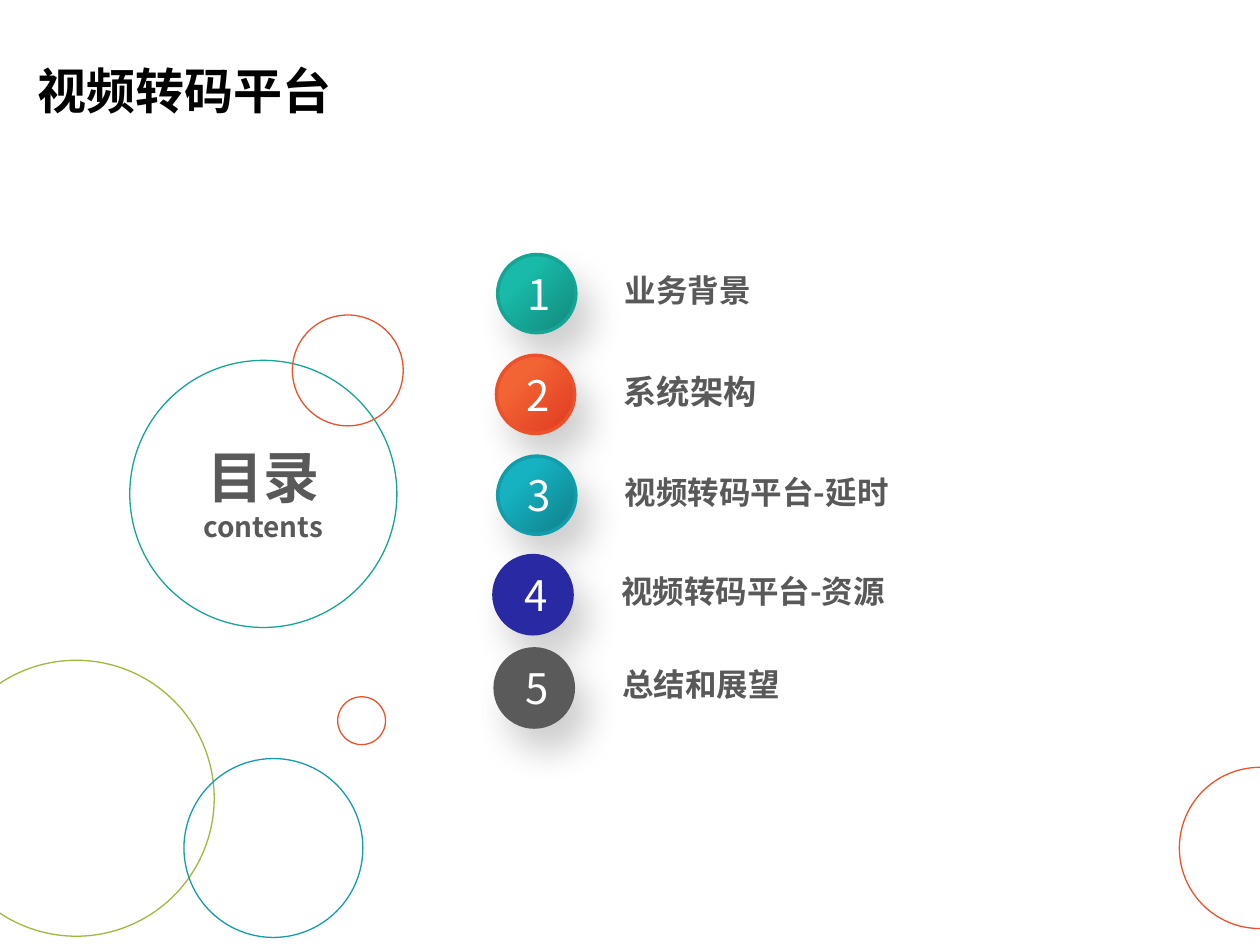
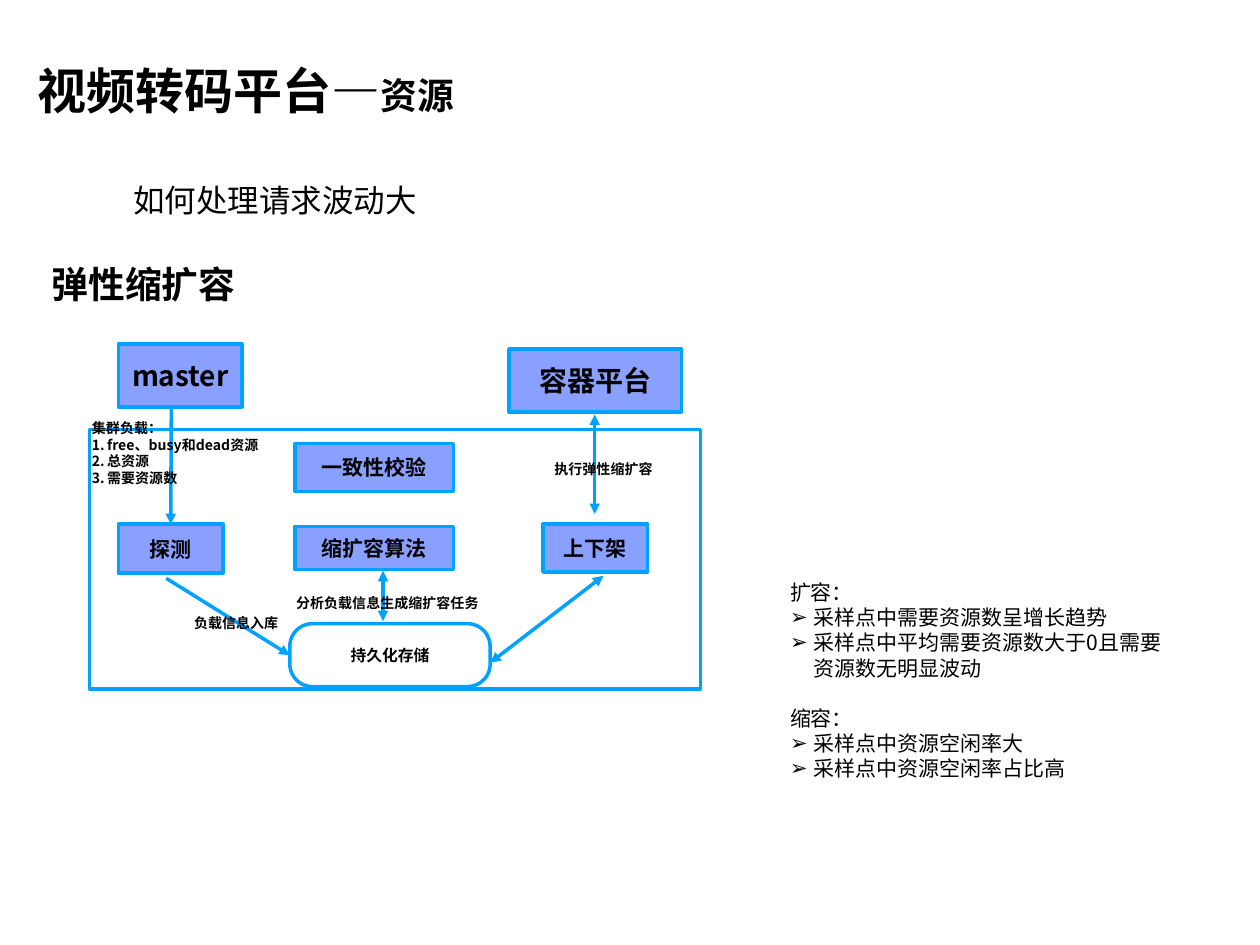
from lxml.etree import SubElement
from pptx import Presentation
from pptx.dml.color import RGBColor
from pptx.enum.shapes import MSO_CONNECTOR as LINK, MSO_SHAPE as SHAPE
from pptx.enum.text import MSO_ANCHOR as ANCHOR, MSO_AUTO_SIZE as FIT, PP_ALIGN as ALIGN
from pptx.oxml.ns import qn
from pptx.util import Inches, Pt

FONT = "Noto Sans CJK SC"
BLACK, WHITE, GREY = "000000", "FFFFFF", "595959"
GREEN, ORANGE, TEAL, OLIVE = "16A595", "EB522C", "139CAA", "9EB93B"
BOX_BLUE, LINE_BLUE = "8AA0FF", "00A2FF"
TOP, LEFT = 0, 1
TITLE_BOX = (0.25, 0.25, 8.08, 0.92)


def rgb(code):
    """Turn a hex string into a colour."""
    return RGBColor.from_string(code)


def inches(values):
    """Turn numbers into lengths."""
    return [Inches(value) for value in values]


def write(frame, text, size=12, color=BLACK, bold=False, align=ALIGN.LEFT,
          bullet=None, margin=0, hanging=0, before=0, spacing=None, same_line=False):
    """Add text to a frame as a new paragraph, or on the current line."""
    paragraph = frame.paragraphs[-1]
    if paragraph.runs and not same_line:
        paragraph = frame.add_paragraph()
    if not same_line:
        paragraph.alignment = align
        paragraph.space_before = Pt(before)
        paragraph.line_spacing = spacing
        properties = paragraph._p.get_or_add_pPr()
        properties.set("marL", str(Inches(margin)))
        properties.set("indent", str(Inches(-hanging)))
        if bullet == "1.":
            SubElement(properties, qn("a:buAutoNum"), type="arabicPeriod")
        elif bullet:
            SubElement(properties, qn("a:buChar"), char=bullet)
        else:
            SubElement(properties, qn("a:buNone"))
    run = paragraph.add_run()
    run.text = text
    run.font.name, run.font.size, run.font.bold = FONT, Pt(size), bold
    run.font.color.rgb = rgb(color)
    SubElement(run._r.get_or_add_rPr(), qn("a:ea"), typeface=FONT)


def set_frame(frame, inset=0.05, anchor=ANCHOR.TOP, wrap=True):
    """Set the insets, anchor and wrapping of a text frame."""
    frame.margin_left = frame.margin_right = Inches(inset)
    frame.margin_top = frame.margin_bottom = Inches(inset)
    frame.vertical_anchor, frame.word_wrap = anchor, wrap
    frame.auto_size = FIT.NONE
    return frame


def add_text(slide, box, inset=0.05, anchor=ANCHOR.TOP, wrap=True):
    """Add a text box and return its frame."""
    return set_frame(slide.shapes.add_textbox(*inches(box)).text_frame, inset, anchor, wrap)


def add_title(slide, text, suffix=""):
    """Fill the title placeholder, with an optional smaller suffix."""
    title = slide.shapes.title
    title.left, title.top, title.width, title.height = inches(TITLE_BOX)
    frame = set_frame(title.text_frame, anchor=ANCHOR.MIDDLE)
    write(frame, text, size=28, bold=True)
    if suffix:
        write(frame, suffix, size=21, bold=True, same_line=True)


def add_outline(slide, kind, box, line, weight, fill=None):
    """Add a preset shape with a line and an optional plain fill."""
    shape = slide.shapes.add_shape(kind, *inches(box))
    shape.shadow.inherit = False
    shape.line.color.rgb, shape.line.width = rgb(line), Pt(weight)
    if fill:
        shape.fill.solid()
        shape.fill.fore_color.rgb = rgb(fill)
    else:
        shape.fill.background()
    return shape


def add_ring(slide, left, top, diameter, color):
    """Add a thin decorative circle."""
    add_outline(slide, SHAPE.OVAL, (left, top, diameter, diameter), color, 0.75)


def drop_shadow(shape):
    """Give a shape a soft shadow to the lower right."""
    effects = shape._element.spPr.find(qn("a:effectLst"))
    shadow = SubElement(effects, qn("a:outerShdw"), blurRad=str(Pt(20)), dist=str(Pt(15)),
                        dir=str(59 * 60000), algn="ctr", rotWithShape="0")
    color = SubElement(shadow, qn("a:srgbClr"), val="0D0D0D")
    SubElement(color, qn("a:alpha"), val="20000")


def add_agenda_item(slide, left, top, number, label, line, shades, size=18):
    """Add a numbered badge and its label from the badge's corner."""
    badge = add_outline(slide, SHAPE.OVAL, (left, top, 0.62, 0.62), line, 2, line)
    if shades:
        badge.fill.gradient()
        badge.fill.gradient_angle = 315
        for stop, position, shade in zip(badge.fill.gradient_stops, (0.3, 0.9), shades):
            stop.position, stop.color.rgb = position, rgb(shade)
    drop_shadow(badge)
    write(add_text(slide, (left + 0.19, top + 0.06, 0.24, 0.5)), str(number),
          size=24, color=WHITE, align=ALIGN.CENTER)
    write(add_text(slide, (left + 1.01, top + 0.13, 3.39, 0.32), inset=0), label,
          size=size, color=GREY, bold=True)


def add_contents_mark(slide, left, top):
    """Add the contents heading within its two rings."""
    add_ring(slide, left, top, 2.12, GREEN)
    add_ring(slide, left + 1.29, top - 0.36, 0.88, ORANGE)
    heading = add_text(slide, (left + 0.42, top + 0.6, 1.28, 0.91))
    for text, size in (("目录", 32), ("contents", 16)):
        write(heading, text, size=size, color=GREY, bold=True, align=ALIGN.CENTER)


def build_contents(deck):
    """Build the contents slide."""
    slide = deck.slides.add_slide(deck.slide_layouts[5])
    add_title(slide, "视频转码平台")
    add_contents_mark(slide, 1.03, 2.86)
    for ring in ((-0.49, 5.24, 2.19, OLIVE), (1.46, 6.02, 1.42, TEAL),
                 (2.68, 5.53, 0.38, ORANGE), (9.36, 6.09, 1.28, ORANGE)):
        add_ring(slide, *ring)
    agenda = (
        (3.95, 2.02, "业务背景", GREEN, ("19BAA9", "138F81"), 18),
        (3.94, 2.82, "系统架构", ORANGE, ("F26434", "E33F24"), 19),
        (3.95, 3.62, "视频转码平台-延时", TEAL, ("16B2C1", "108692"), 18),
        (3.92, 4.41, "视频转码平台-资源", "2929A3", None, 18),
        (3.93, 5.15, "总结和展望", "5A5A5A", None, 18),
    )
    for number, (left, top, *details) in enumerate(agenda, 1):
        add_agenda_item(slide, left, top, number, *details)


def add_node(slide, box, text, size=12, kind=SHAPE.RECTANGLE, fill=BOX_BLUE):
    """Add a labelled box of the scaling diagram."""
    node = add_outline(slide, kind, box, LINE_BLUE, 2, fill)
    write(set_frame(node.text_frame, 0.06, ANCHOR.MIDDLE), text,
          size=size, bold=True, align=ALIGN.CENTER)
    return node


def add_arrow(slide, start, end, both=False):
    """Add an arrow between two points, with one head or two."""
    arrow = slide.shapes.add_connector(LINK.STRAIGHT, *inches(start + end))
    arrow.line.color.rgb, arrow.line.width = rgb(LINE_BLUE), Pt(2)
    line = arrow.line._get_or_add_ln()
    for tag in ("a:headEnd", "a:tailEnd") if both else ("a:tailEnd",):
        SubElement(line, qn(tag), type="triangle")
    SubElement(arrow._element.spPr, qn("a:effectLst"))
    return arrow


def build_diagram(slide, left, top):
    """Draw the elastic scaling diagram from its upper left corner."""
    def place(x, y, *size):
        return (left + x, top + y, *size)

    def note(x, y, width, text):
        frame = add_text(slide, place(x, y, width, 0.25), 0.06, ANCHOR.MIDDLE, wrap=False)
        write(frame, text, size=8, bold=True)

    add_node(slide, place(0.23, 0, 0.98, 0.5), "master", 16)
    add_outline(slide, SHAPE.RECTANGLE, place(0, 0.68, 4.85, 2.06), LINE_BLUE, 2, WHITE)
    probe = add_node(slide, place(0.23, 1.43, 0.83, 0.39), "探测")
    add_arrow(slide, place(0.65, 0.5), place(0.65, 1.43)).end_connect(probe, TOP)
    load = add_text(slide, place(-0.04, 0.54, 1.45, 0.65), 0.06, ANCHOR.MIDDLE)
    write(load, "集群负载：", size=8, bold=True)
    for text in ("free、busy和dead资源", "总资源", "需要资源数"):
        write(load, text, size=8, bold=True, bullet="1.", margin=0.12, hanging=0.12)

    add_node(slide, place(1.63, 0.79, 1.26, 0.38), "一致性校验")
    add_node(slide, place(1.63, 1.45, 1.26, 0.34), "缩扩容算法")
    add_node(slide, place(3.6, 1.43, 0.83, 0.38), "上下架")
    add_node(slide, place(3.33, 0.04, 1.37, 0.5), "容器平台", 16)
    storage = add_node(slide, place(1.59, 2.22, 1.59, 0.5), "持久化存储", 9,
                       SHAPE.ROUNDED_RECTANGLE, WHITE)
    storage.adjustments[0] = 0.36

    add_arrow(slide, place(0.61, 1.86), place(1.59, 2.47)).end_connect(storage, LEFT)
    for start, end in (((2.33, 2.2), (2.33, 1.8)), ((3.18, 2.53), (4.08, 1.84)),
                       ((4.01, 1.35), (4.01, 0.56))):
        add_arrow(slide, place(*start), place(*end), both=True)
    note(0.77, 2.09, 0.79, "负载信息入库")
    note(1.58, 1.93, 1.57, "分析负载信息生成缩扩容任务")
    note(3.63, 0.87, 0.9, "执行弹性缩扩容")


def fill_rules(body, box):
    """Fill the body placeholder with the scaling rules."""
    body.left, body.top, body.width, body.height = inches(box)
    frame = set_frame(body.text_frame)
    frame.margin_left = frame.margin_right = Inches(0.1)
    rules = (
        ("扩容：", 0, ("采样点中需要资源数呈增长趋势",
                   "采样点中平均需要资源数大于0且需要资源数无明显波动")),
        ("缩容：", 14.4, ("采样点中资源空闲率大", "采样点中资源空闲率占比高")),
    )
    for heading, gap, conditions in rules:
        write(frame, heading, before=gap)
        for condition in conditions:
            write(frame, condition, bullet="➢", margin=0.19, hanging=0.19)


def build_resources(deck):
    """Build the slide on elastic resources."""
    slide = deck.slides.add_slide(deck.slide_layouts[1])
    add_title(slide, "视频转码平台—", "资源")
    question = add_text(slide, (0.96, 1.39, 4.38, 0.4))
    question.margin_left = Inches(0.1)
    write(question, "如何处理请求波动大", size=18, margin=0.28, hanging=0.31)
    write(add_text(slide, (0.36, 2.03, 4.33, 0.53)), "弹性缩扩容", size=21, bold=True)
    build_diagram(slide, 0.71, 2.73)
    fill_rules(slide.placeholders[1], (6.17, 4.55, 3.31, 1.72))


def main():
    """Build and save the deck."""
    deck = Presentation()
    deck.slide_width, deck.slide_height = Inches(10), Inches(7.5)
    build_contents(deck)
    build_resources(deck)
    deck.save("out.pptx")


if __name__ == "__main__":
    main()
